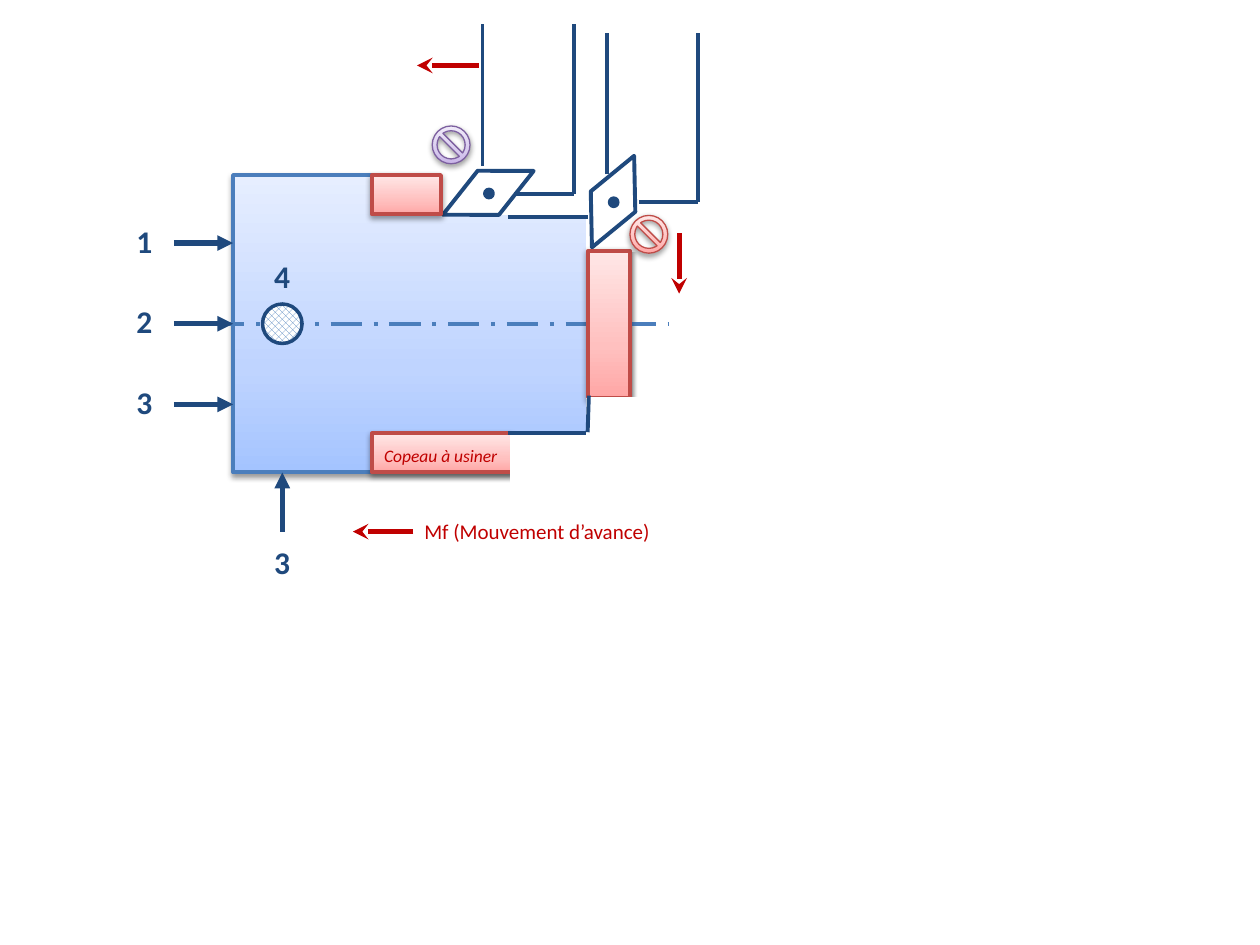
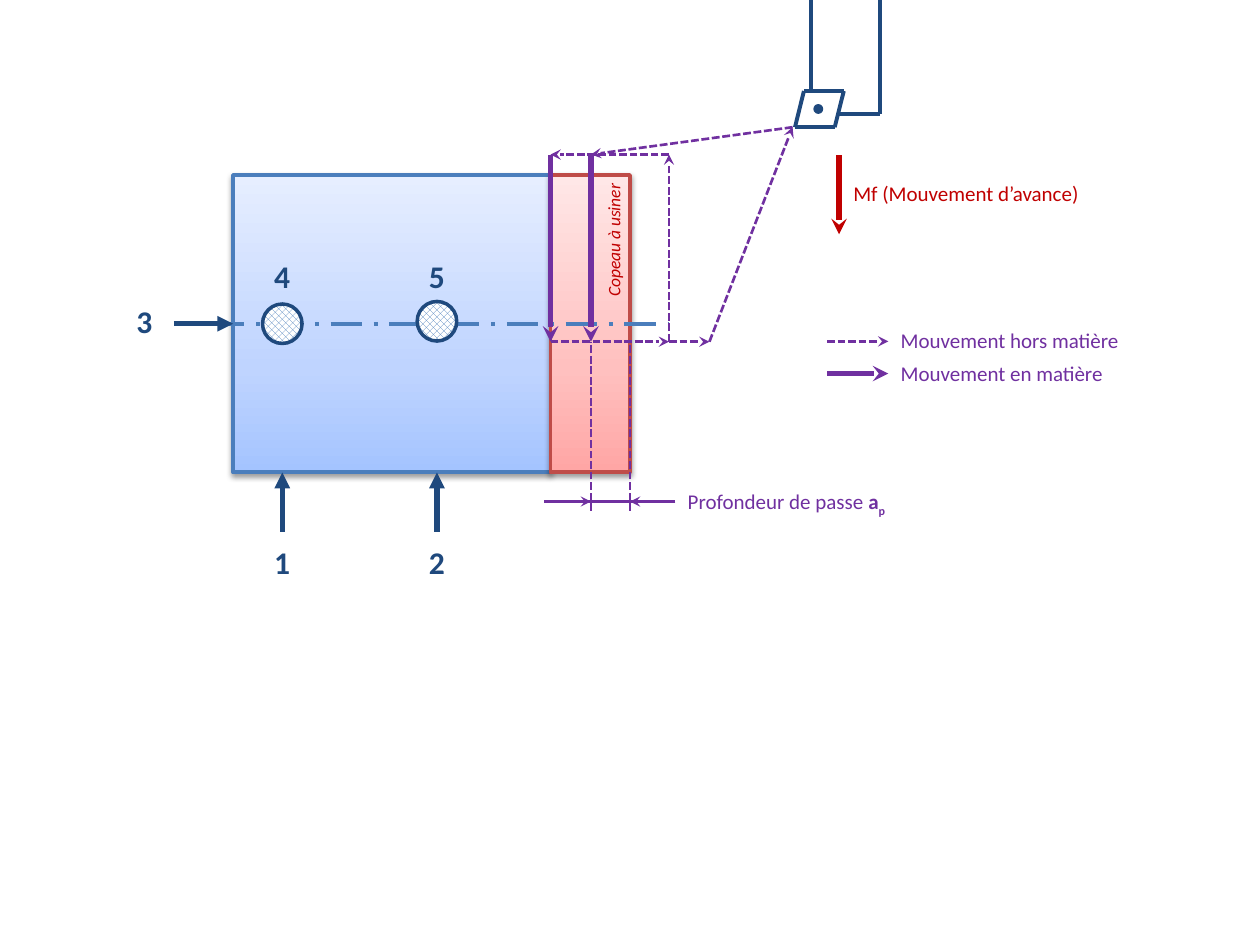
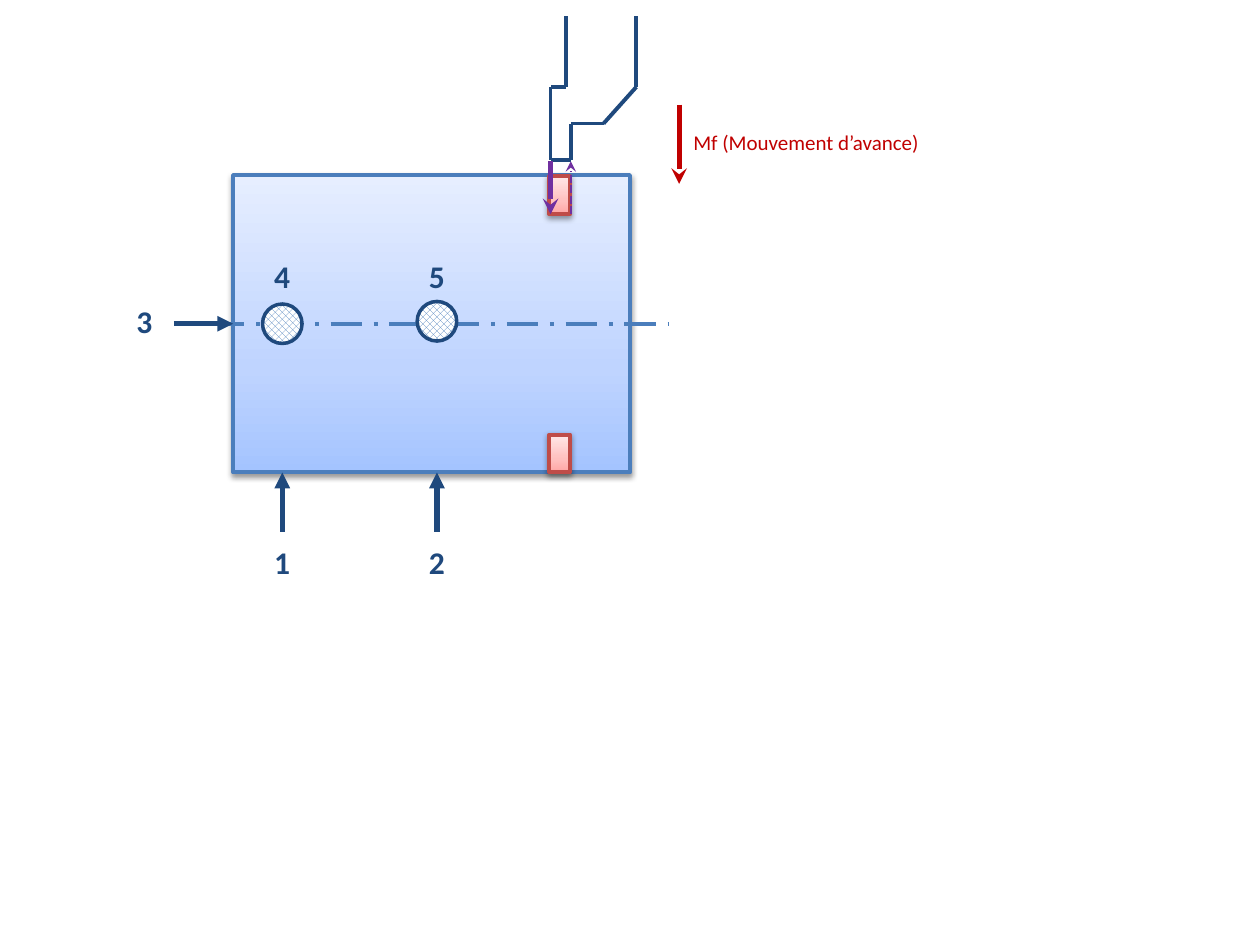
import copy
import itertools

import pptx
import pptx.dml.color
import pptx.enum.dml
import pptx.enum.shapes
import pptx.enum.text
import pptx.oxml
import pptx.oxml.ns
import pptx.util

Pt = pptx.util.Pt
RGBColor = pptx.dml.color.RGBColor
SHAPE = pptx.enum.shapes.MSO_SHAPE
DASH = pptx.enum.dml.MSO_LINE.SQUARE_DOT
CENTER = pptx.enum.text.PP_ALIGN.CENTER
qn = pptx.oxml.ns.qn

FONT = "Calibri"
WHITE = RGBColor(0xFF, 0xFF, 0xFF)
NAVY = RGBColor(0x1F, 0x49, 0x7D)
HATCH = RGBColor(0x4F, 0x81, 0xBD)
RED = RGBColor(0xC0, 0x00, 0x00)
PURPLE = RGBColor(0x70, 0x30, 0xA0)
PART_EDGE = RGBColor(0x4B, 0x7E, 0xBC)
CHIP_EDGE = RGBColor(0xBF, 0x4C, 0x48)
VIOLET_EDGE = RGBColor(0x7D, 0x60, 0xA0)
PART_GRADIENT = (RGBColor(0xA4, 0xC4, 0xFF), RGBColor(0xBF, 0xD4, 0xFF), RGBColor(0xE6, 0xEE, 0xFF))
CHIP_GRADIENT = (RGBColor(0xFF, 0xA6, 0xA5), RGBColor(0xFF, 0xC0, 0xBF), RGBColor(0xFF, 0xE7, 0xE7))
VIOLET_GRADIENT = (RGBColor(0xC9, 0xB5, 0xE8), RGBColor(0xD8, 0xCB, 0xEE), RGBColor(0xF0, 0xEA, 0xF9))
GRADIENT_POSITIONS = (0, 0.35, 1)

PART_LEFT, PART_TOP, PART_WIDTH, PART_HEIGHT = 133.2, 100, 226.8, 170
PART_BOTTOM = PART_TOP + PART_HEIGHT
AXIS_Y = PART_TOP + PART_HEIGHT / 2
HOLE_4_X, HOLE_5_X = 161.3, 249.7
SUPPORT_LENGTH = 33.8
NUMBER_WIDTH, NUMBER_HEIGHT = 33.8, 28.8
FEED_TEXT = "Mf (Mouvement d’avance)"
CHIP_TEXT = "Copeau à usiner"

SHADOW_XML = (
    '<a:outerShdw xmlns:a="http://schemas.openxmlformats.org/drawingml/2006/main" blurRad="40000" '
    'dist="20000" dir="5400000" rotWithShape="0"><a:srgbClr val="000000"><a:alpha val="38000"/>'
    "</a:srgbClr></a:outerShdw>"
)


def add_outline_shape(slide, kind, box, edge, weight=2.25):
    shape = slide.shapes.add_shape(kind, *map(Pt, box))
    shape.shadow.inherit = False
    shape.line.color.rgb = edge
    shape.line.width = Pt(weight)
    return shape


def add_solid(slide, kind, box, fill, edge, weight=2.25):
    shape = add_outline_shape(slide, kind, box, edge, weight)
    shape.fill.solid()
    shape.fill.fore_color.rgb = fill
    return shape


def add_shaded(slide, kind, box, gradient, edge, weight=2.25):
    """Add a shape with a three-stop vertical gradient and a soft shadow."""
    shape = add_outline_shape(slide, kind, box, edge, weight)
    shape.fill.gradient()
    shape.fill.gradient_angle = 90
    properties = shape._element.spPr
    stop_list = properties.find(qn("a:gradFill")).find(qn("a:gsLst"))
    stop_list.append(copy.deepcopy(stop_list[0]))
    for stop, position, color in zip(shape.fill.gradient_stops, GRADIENT_POSITIONS, gradient):
        stop.position = position
        stop.color.rgb = color
    properties.find(qn("a:effectLst")).append(pptx.oxml.parse_xml(SHADOW_XML))
    return shape


def add_line(slide, start, end, color=NAVY, weight=2.25, dash=None, head=None):
    line = slide.shapes.add_connector(
        pptx.enum.shapes.MSO_CONNECTOR.STRAIGHT, *map(Pt, (*start, *end))
    )
    line.line.color.rgb = color
    line.line.width = Pt(weight)
    if dash is not None:
        line.line.dash_style = dash
    properties = line._element.spPr
    if head:
        tail_end = properties.find(qn("a:ln")).makeelement(qn("a:tailEnd"), {"type": head})
        properties.find(qn("a:ln")).append(tail_end)
    properties.append(properties.makeelement(qn("a:effectLst"), {}))
    return line


def add_polyline(slide, *points):
    for start, end in itertools.pairwise(points):
        add_line(slide, start, end)


def add_text(slide, box, text, size=12, color=RED, bold=None, italic=None, align=None):
    text_box = slide.shapes.add_textbox(*map(Pt, box))
    frame = text_box.text_frame
    frame.word_wrap = True
    frame.auto_size = pptx.enum.text.MSO_AUTO_SIZE.SHAPE_TO_FIT_TEXT
    paragraph = frame.paragraphs[0]
    paragraph.add_run().text = text
    paragraph.alignment = align
    font = paragraph.font
    font.name, font.size, font.bold, font.italic = FONT, Pt(size), bold, italic
    font.color.rgb = color
    return text_box


def add_caption(slide, left, top, text, color):
    return add_text(slide, (left, top, 167, 21.6), text, color=color)


def add_number(slide, number, left, top):
    box = (left, top, NUMBER_WIDTH, NUMBER_HEIGHT)
    add_text(slide, box, str(number), 18, NAVY, bold=True, align=CENTER)


def add_part(slide, width=PART_WIDTH):
    box = (PART_LEFT, PART_TOP, width, PART_HEIGHT)
    return add_shaded(slide, SHAPE.RECTANGLE, box, PART_GRADIENT, PART_EDGE)


def add_chip(slide, *box):
    add_shaded(slide, SHAPE.RECTANGLE, box, CHIP_GRADIENT, CHIP_EDGE)


def add_chip_text(slide, left, top):
    return add_text(slide, (left, top, 116.6, 19.4), CHIP_TEXT, 10, italic=True)


def add_axis(slide):
    add_line(slide, (121.7, AXIS_Y), (382.3, AXIS_Y), PART_EDGE,
             dash=pptx.enum.dml.MSO_LINE.LONG_DASH_DOT)


def add_side_support(slide, number, y, part=None):
    """Add a numbered arrow on the left face, joined to the part if given."""
    start = PART_LEFT - SUPPORT_LENGTH
    arrow = add_line(slide, (start, y), (PART_LEFT, y), weight=3, head="triangle")
    if part is not None:
        arrow.end_connect(part, 1)
    add_number(slide, number, start - NUMBER_WIDTH, y - 15.8)


def add_bottom_support(slide, number, x):
    add_line(slide, (x, PART_BOTTOM + SUPPORT_LENGTH), (x, PART_BOTTOM), weight=3, head="triangle")
    add_number(slide, number, x - NUMBER_WIDTH / 2, 306.7)


def add_hole(slide, number, x, y):
    """Add a numbered hatched circle centred at x, y."""
    diameter = 22.6
    box = (x - diameter / 2, y - diameter / 2, diameter, diameter)
    hole = add_outline_shape(slide, SHAPE.OVAL, box, NAVY, 2)
    hole.fill.patterned()
    hole.fill.pattern = pptx.enum.dml.MSO_PATTERN.OUTLINED_DIAMOND
    hole.fill.fore_color.rgb = HATCH
    hole.fill.back_color.rgb = WHITE
    add_number(slide, number, x - NUMBER_WIDTH / 2, 143.3)


def add_two_hole_locating(slide, part):
    add_bottom_support(slide, 1, HOLE_4_X)
    add_bottom_support(slide, 2, HOLE_5_X)
    add_side_support(slide, 3, AXIS_Y, part)
    add_hole(slide, 4, HOLE_4_X, AXIS_Y)
    add_hole(slide, 5, HOLE_5_X, AXIS_Y - 1.4)


def add_feed_arrow(slide, start, end):
    add_line(slide, start, end, RED, 3, head="stealth")


def add_captioned_feed(slide, x, top):
    add_feed_arrow(slide, (x, top), (x, top + 45.3))
    add_caption(slide, x + 1, top + 10.8, FEED_TEXT, RED)


def add_cut(slide, start, end):
    add_line(slide, start, end, PURPLE, 3, head="stealth")


def add_free_move(slide, start, end):
    add_line(slide, start, end, PURPLE, 1.5, DASH, "stealth")


def add_pivot(slide, x, y, diameter):
    box = (x - diameter / 2, y - diameter / 2, diameter, diameter)
    add_solid(slide, SHAPE.OVAL, box, NAVY, NAVY, 2)


def add_diamond_tool(slide, x, y, rotation):
    """Add a tool whose tilted insert is centred at x, y."""
    insert = add_solid(slide, SHAPE.DIAMOND, (x - 14, y - 28.8, 28, 57.6), WHITE, NAVY)
    insert.rotation = rotation
    add_pivot(slide, x + 0.4, y + 0.4, 4.7)
    shank_top = y - 96.2
    add_polyline(slide, (x - 3.3, y - 15.5), (x - 3.3, shank_top))
    add_polyline(slide, (x + 14.8, y + 0.5), (x + 48.8, y + 0.5), (x + 48.8, shank_top))


def add_mask(slide, *box):
    add_solid(slide, SHAPE.RECTANGLE, box, WHITE, WHITE)


def add_forbidden_sign(slide, left, top, gradient, edge):
    sign = add_shaded(slide, SHAPE.NO_SYMBOL, (left, top, 21.6, 21.6), gradient, edge, 0.75)
    sign.adjustments[0] = 0.127


def build_turning_and_facing(slide):
    chip_left, chip_height, face_x, lower_y = 212.4, 22.3, 336.2, 247.7
    part = add_part(slide)
    add_mask(slide, face_x, 113, 51.8, 30.2)
    add_axis(slide)
    add_bottom_support(slide, 3, HOLE_4_X)
    add_hole(slide, 4, HOLE_4_X, AXIS_Y)
    add_feed_arrow(slide, (236.2, 303.8), (201.6, 303.8))
    add_caption(slide, 235.4, 293, FEED_TEXT, RED)
    add_side_support(slide, 3, AXIS_Y + 46.1)
    add_side_support(slide, 2, AXIS_Y, part)
    add_side_support(slide, 1, AXIS_Y - 46.1)
    add_chip(slide, chip_left, lower_y, 79.9, chip_height)
    add_chip_text(slide, chip_left, 250.6)
    add_mask(slide, 252.7, 91.4, 118.8, 30.2)
    add_diamond_tool(slide, 350.3, 115.2, 24.7)
    add_mask(slide, 292.3, lower_y, 79.2, 30.2)
    add_feed_arrow(slide, (273.6, 37.4), (238.3, 37.4))
    add_feed_arrow(slide, (388.1, 133.2), (388.1, 167.8))
    add_chip(slide, face_x, 143.3, 23.8, 84.2)
    add_diamond_tool(slide, 279, 110.2, 64.3)
    add_mask(slide, face_x, 228.2, 51.8, 30.2)
    add_polyline(slide, (290.2, 124.2), (face_x, 124.2))
    add_polyline(slide, (290.2, lower_y), (334.8, lower_y))
    add_polyline(slide, (336.5, 226.1), (335.8, 247))
    add_chip(slide, chip_left, PART_TOP, 39.6, chip_height)
    add_forbidden_sign(slide, 247, 72, VIOLET_GRADIENT, VIOLET_EDGE)
    add_forbidden_sign(slide, 360, 123.1, CHIP_GRADIENT, CHIP_EDGE)


def add_insert_tool(slide):
    add_pivot(slide, 467.6, 62.3, 3.6)
    add_polyline(slide, (463.7, 51.8), (463.7, -29.5))
    add_polyline(slide, (479.5, 65.3), (503.1, 65.3), (503.1, -29.5))
    add_polyline(slide, (454.3, 72.7), (477, 72.7), (482.2, 52), (459.4, 52), (454.3, 72.7))


def add_depth_dimension(slide, cut_x, face_x, bottom_y):
    y = 286.6
    for x in (cut_x, face_x):
        add_line(slide, (x, 292), (x, bottom_y), PURPLE, 1.5, DASH)
    add_line(slide, (311, y), (cut_x, y), PURPLE, 1.5, head="stealth")
    add_line(slide, (385.9, y), (face_x, y), PURPLE, 1.5, head="stealth")
    add_line(slide, (373, y), (322.6, y), PURPLE, 1.5)
    caption = add_caption(slide, 385.9, 275.8, "Profondeur de passe ", PURPLE)
    for text in ("a", "p"):
        run = caption.text_frame.paragraphs[0].add_run()
        run.text = text
        run.font.bold = True
    run.font._element.set("baseline", "-25000")


def build_facing_cycle(slide):
    final_x, first_x, face_x, clear_x, exit_x = 314.6, 337.7, 360, 382.3, 405.4
    top_y, bottom_y = 88.3, 195.3
    tool_tip = (452.9, 72.7)
    part = add_part(slide, final_x - PART_LEFT)
    add_chip(slide, final_x, PART_TOP, face_x - final_x, PART_HEIGHT)
    add_axis(slide)
    add_two_hole_locating(slide, part)
    add_captioned_feed(slide, 479.5, 88.6)

    add_free_move(slide, tool_tip, (first_x, top_y))
    add_cut(slide, (first_x, top_y), (first_x, bottom_y))
    add_free_move(slide, (final_x, bottom_y), (clear_x, bottom_y))
    add_free_move(slide, (clear_x, bottom_y), (clear_x, top_y))
    add_free_move(slide, (clear_x, top_y), (final_x, top_y))
    add_cut(slide, (final_x, top_y), (final_x, bottom_y))
    add_free_move(slide, (exit_x, bottom_y), tool_tip)
    add_free_move(slide, (clear_x, bottom_y), (exit_x, bottom_y))

    legend = ((add_free_move, 195.1, "Mouvement hors matière"), (add_cut, 213.5, "Mouvement en matière"))
    for add_move, y, text in legend:
        add_move(slide, (472.6, y), (507.6, y))
        add_caption(slide, 507.6, y - 11.2, text, PURPLE)

    add_chip_text(slide, 292.3, 108.7).rotation = 270
    add_depth_dimension(slide, first_x, face_x, bottom_y)
    add_insert_tool(slide)


def build_grooving(slide):
    groove_left, groove_right = 314.6, 326.2
    tool_y, groove_y = 92.2, 122.4
    part = add_part(slide)
    add_axis(slide)
    add_two_hole_locating(slide, part)
    add_polyline(
        slide, (323.3, 9.4), (323.3, 49.7), (groove_left, 49.7), (groove_left, 91.4),
        (groove_right, 91.4), (groove_right, 70.6), (344.9, 70.6), (363.6, 49.7), (363.6, 9.4),
    )
    add_captioned_feed(slide, 388.1, 59.8)
    add_chip(slide, 313.9, 100.8, 11.9, 21.6)
    add_free_move(slide, (groove_right, groove_y), (groove_right, tool_y))
    add_cut(slide, (groove_left, tool_y), (groove_left, groove_y))
    add_chip(slide, 313.9, 248.4, 11.9, 21.6)


def main():
    presentation = pptx.Presentation()
    presentation.slide_width = Pt(720)
    presentation.slide_height = Pt(540)
    for build in (build_turning_and_facing, build_facing_cycle, build_grooving):
        build(presentation.slides.add_slide(presentation.slide_layouts[6]))
    presentation.save("out.pptx")


if __name__ == "__main__":
    main()
